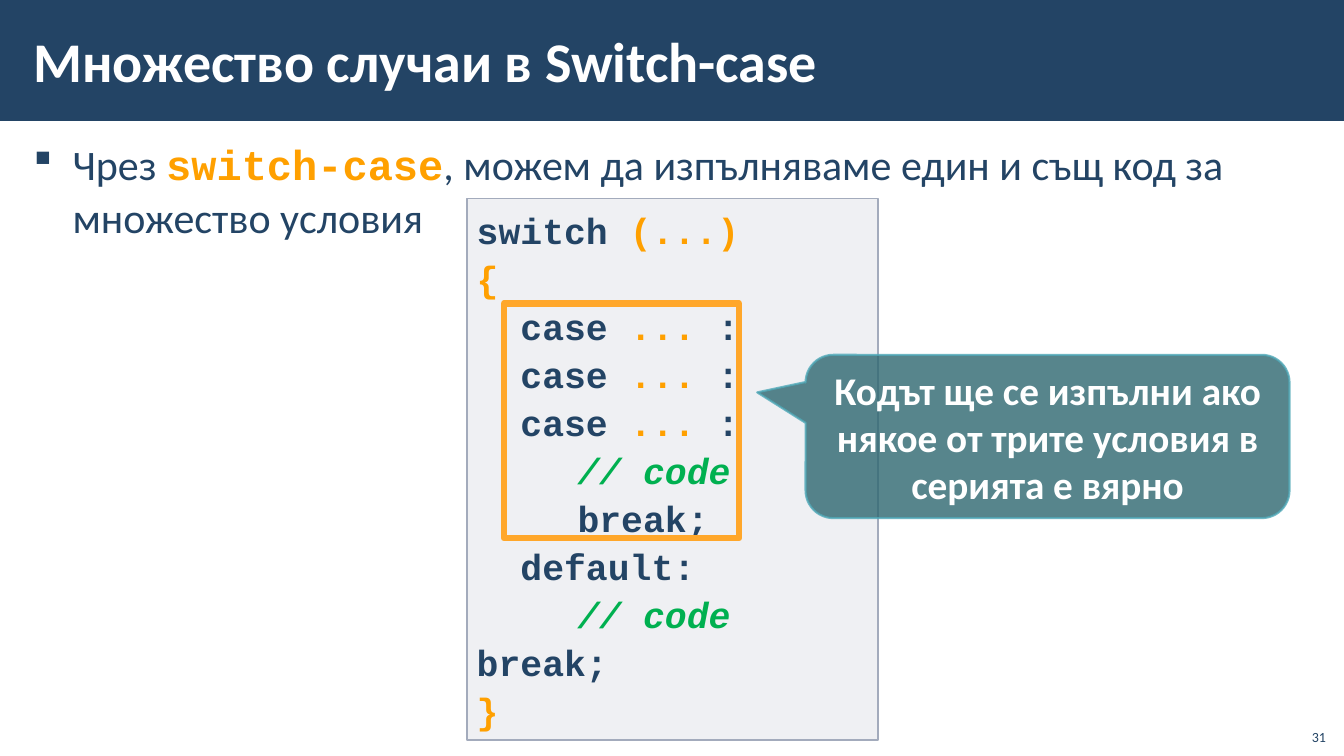
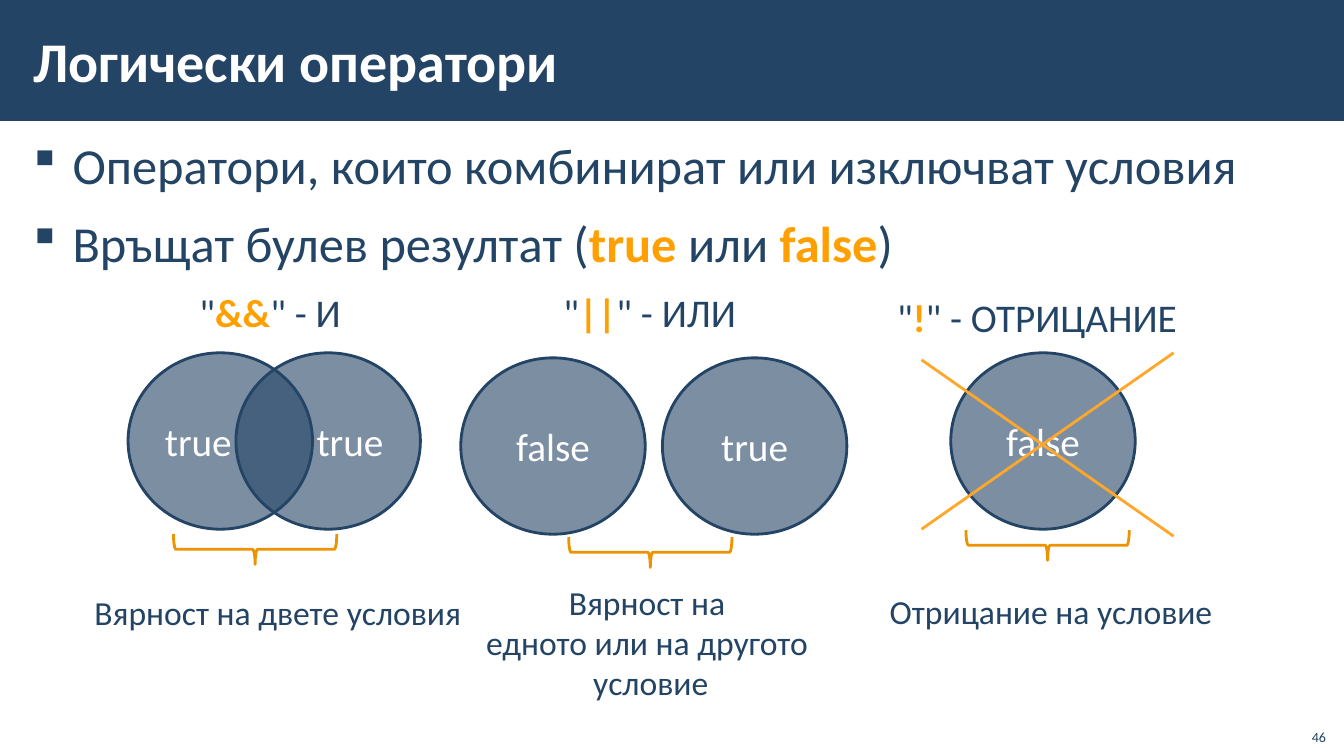
"""Build two lecture slides on switch-case and logical operators."""
from dataclasses import dataclass
from typing import Optional, Sequence

from lxml import etree
from pptx import Presentation
from pptx.dml.color import RGBColor
from pptx.enum import shapes, text
from pptx.oxml.ns import qn
from pptx.util import Emu, Pt

PX = 9144
SHAPE = shapes.MSO_SHAPE
ALIGN = text.PP_ALIGN
ANCHOR = text.MSO_ANCHOR


@dataclass(frozen=True)
class Theme:
    """Colours, fonts and type sizes of the deck."""
    navy: str = "234465"
    white: str = "FFFFFF"
    orange: str = "FFA000"
    frame: str = "FFA72A"
    brace: str = "ED9300"
    green: str = "00B050"
    code_fill: str = "C2C7D2"
    code_line: str = "A3ABBC"
    callout: str = "2E6770"
    callout_line: str = "50A9B8"
    font: str = "Calibri"
    mono: str = "Courier New"
    symbols: str = "Wingdings"
    title: int = 40
    bullet: int = 36
    bullet_small: int = 30
    label: int = 28
    code: int = 26
    caption: int = 24
    number: int = 10


T = Theme()


@dataclass(frozen=True)
class Box:
    """A rectangle in px."""
    x: int
    y: int
    w: int
    h: int


@dataclass(frozen=True)
class Span:
    """A run of text with its look."""
    text: str
    color: str = T.navy
    bold: bool = False
    italic: bool = False
    font: str = T.font


@dataclass(frozen=True)
class Paint:
    """A colour with opacity in percent and a line width in points."""
    color: str
    alpha: int = 100
    width: float = 0


@dataclass(frozen=True)
class Style:
    """Paragraph and frame settings of a text block."""
    size: int
    align: ALIGN = ALIGN.LEFT
    anchor: ANCHOR = ANCHOR.TOP
    spacing: Optional[float] = None
    before: int = 0
    bullet: bool = False
    tab: int = 0
    wrap: bool = True
    inset: tuple[int, int] = (10, 5)


@dataclass(frozen=True)
class Disc:
    """A circle with a truth value."""
    x: int
    y: int
    value: str
    align: ALIGN = ALIGN.CENTER


@dataclass(frozen=True)
class Operator:
    """A logical operator with its drawing."""
    symbol: str
    name: str
    label: Box
    discs: Sequence[Disc]
    brace: Box
    caption: Sequence[str]
    caption_box: Box


Lines = Sequence[Sequence[Span]]


def emu(box: Box) -> tuple[Emu, ...]:
    """Turn a px box into EMU lengths."""
    return tuple(Emu(v * PX) for v in (box.x, box.y, box.w, box.h))


def set_alpha(parent, percent: int) -> None:
    """Set the opacity of the solid fill inside an element."""
    if percent < 100:
        clr = parent.find(qn("a:solidFill")).find(qn("a:srgbClr"))
        etree.SubElement(clr, qn("a:alpha")).set("val", str(percent * 1000))


def add_marks(p, style: Style) -> None:
    """Give a paragraph its bullet and tab stop."""
    ppr = p._p.get_or_add_pPr()
    if style.bullet:
        ppr.set("marL", str(39 * PX))
        ppr.set("indent", str(-39 * PX))
        etree.SubElement(ppr, qn("a:buFont")).set("typeface", T.symbols)
        etree.SubElement(ppr, qn("a:buChar")).set("char", "§")
    if style.tab:
        tabs = etree.SubElement(ppr, qn("a:tabLst"))
        etree.SubElement(tabs, qn("a:tab"), pos=str(style.tab * PX), algn="l")


def write(tf, lines: Lines, style: Style) -> None:
    """Fill a text frame run by run."""
    tf.word_wrap = style.wrap
    tf.auto_size = text.MSO_AUTO_SIZE.NONE
    tf.vertical_anchor = style.anchor
    side, top = (Emu(v * PX) for v in style.inset)
    tf.margin_left = tf.margin_right = side
    tf.margin_top = tf.margin_bottom = top
    for i, spans in enumerate(lines):
        p = tf.add_paragraph() if i else tf.paragraphs[0]
        p.alignment = style.align
        if style.spacing:
            p.line_spacing = style.spacing
        if i and style.before:
            p.space_before = Pt(style.before)
        add_marks(p, style)
        for span in spans:
            r = p.add_run()
            r.text = span.text
            r.font.size = Pt(style.size)
            r.font.name = span.font
            r.font.bold = span.bold
            r.font.italic = span.italic
            r.font.color.rgb = RGBColor.from_string(span.color)


def add_text(s, box: Box, lines: Lines, style: Style) -> None:
    """Add a text box."""
    write(s.shapes.add_textbox(*emu(box)).text_frame, lines, style)


def add_shape(s, kind: SHAPE, box: Box, fill: Optional[Paint] = None,
              line: Optional[Paint] = None):
    """Add a preset shape without a shadow."""
    sp = s.shapes.add_shape(kind, *emu(box))
    sp.shadow.inherit = False
    if fill:
        sp.fill.solid()
        sp.fill.fore_color.rgb = RGBColor.from_string(fill.color)
        set_alpha(sp._element.spPr, fill.alpha)
    else:
        sp.fill.background()
    if line:
        sp.line.width = Pt(line.width)
        sp.line.color.rgb = RGBColor.from_string(line.color)
        set_alpha(sp._element.spPr.find(qn("a:ln")), line.alpha)
    else:
        sp.line.fill.background()
    return sp


def add_line(s, start: tuple[int, int], end: tuple[int, int], paint: Paint) -> None:
    """Add a straight line without a shadow."""
    ends = (Emu(v * PX) for v in (*start, *end))
    c = s.shapes.add_connector(shapes.MSO_CONNECTOR.STRAIGHT, *ends)
    c.line.width = Pt(paint.width)
    c.line.color.rgb = RGBColor.from_string(paint.color)
    etree.SubElement(c._element.spPr, qn("a:effectLst"))


def add_slide(prs, title: str, number: int, body: Box, lines: Lines, style: Style):
    """Add a slide with its band, title, bullets and number."""
    s = prs.slides.add_slide(prs.slide_layouts[6])
    add_shape(s, SHAPE.RECTANGLE, Box(0, 0, 1334, 120), Paint(T.navy))
    add_text(s, body, lines, style)
    add_text(s, Box(21, 11, 1063, 97), [[Span(title, T.white, True)]],
             Style(T.title, anchor=ANCHOR.MIDDLE, inset=(12, 4)))
    add_text(s, Box(1285, 712, 40, 32), [[Span(str(number))]],
             Style(T.number, ALIGN.RIGHT, ANCHOR.BOTTOM))
    return s


def code(value: str, color: str = T.navy, italic: bool = False) -> Span:
    """Return a bold monospaced span."""
    return Span(value, color, True, italic, T.mono)


def switch_slide(prs) -> None:
    """Draw the switch-case slide."""
    bullet = [Span("Чрез "), code("switch-case", T.orange),
              Span(", можем да изпълняваме един и същ код за множество условия")]
    s = add_slide(prs, "Множество случаи в Switch-case", 31, Box(21, 131, 1292, 605),
                  [bullet], Style(T.bullet_small, spacing=1.05, bullet=True, inset=(12, 4)))
    case = [code("  case "), code("... ", T.orange), code(":")]
    comment = [code("\t// code", T.green, True)]
    listing = [
        [code("switch "), code("(...)", T.orange)],
        [code("{", T.orange)],
        *[case] * 3,
        comment,
        [code("\tbreak;")],
        [code("  default:")],
        comment,
        [code("break;")],
        [code("}", T.orange)],
    ]
    sp = add_shape(s, SHAPE.RECTANGLE, Box(463, 197, 408, 537),
                   Paint(T.code_fill, 25), Paint(T.code_line, width=1))
    write(sp.text_frame, listing, Style(T.code, spacing=1.1, tab=100))
    add_shape(s, SHAPE.RECTANGLE, Box(500, 301, 233, 233), line=Paint(T.frame, width=4.5))
    sp = add_shape(s, SHAPE.ROUNDED_RECTANGULAR_CALLOUT, Box(799, 352, 480, 162),
                   Paint(T.callout, 80), Paint(T.callout_line, 80, 1.5))
    for i, value in enumerate((-0.6, -0.27, 0.17)):
        sp.adjustments[i] = value
    note = "Кодът ще се изпълни ако някое от трите условия в серията е вярно"
    write(sp.text_frame, [[Span(note, T.white, True)]],
          Style(T.label, ALIGN.CENTER, ANCHOR.MIDDLE))


OPERATORS = [
    Operator("&&", "И", Box(188, 281, 162, 57),
             [Disc(127, 350, "true", ALIGN.LEFT), Disc(234, 350, "true", ALIGN.RIGHT)],
             Box(238, 464, 30, 162),
             ["Вярност на двете условия"], Box(82, 582, 387, 50)),
    Operator("||", "ИЛИ", Box(549, 281, 192, 57),
             [Disc(457, 355, "false"), Disc(657, 355, "true")],
             Box(630, 467, 30, 162),
             ["Вярност на ", "едното или на другото ", "условие"], Box(471, 572, 349, 131)),
    Operator("!", "ОТРИЦАНИЕ", Box(880, 286, 310, 57),
             [Disc(943, 350, "false")],
             Box(1024, 460, 30, 162),
             ["Отрицание на условие"], Box(871, 581, 343, 50)),
]


def draw_operator(s, op: Operator) -> None:
    """Draw an operator label, its circles, brace and caption."""
    for disc in op.discs:
        sp = add_shape(s, SHAPE.OVAL, Box(disc.x, disc.y, 183, 175),
                       Paint(T.navy, 60), Paint(T.navy, width=2))
        write(sp.text_frame, [[Span(disc.value, T.white)]],
              Style(T.label, disc.align, ANCHOR.MIDDLE))
    label = [Span('"'), Span(op.symbol, T.orange, True), Span(f'" - {op.name}')]
    add_text(s, op.label, [label], Style(T.label, wrap=False))
    sp = add_shape(s, SHAPE.RIGHT_BRACE, op.brace, line=Paint(T.brace, width=2))
    sp.rotation = 90
    add_text(s, op.caption_box, [[Span(row)] for row in op.caption],
             Style(T.caption, ALIGN.CENTER, wrap=False))


def operators_slide(prs) -> None:
    """Draw the logical operators slide."""
    bullets = [
        [Span("Оператори, които комбинират или изключват условия")],
        [Span("Връщат булев резултат ("), Span("true", T.orange, True), Span(" или "),
         Span("false", T.orange, True), Span(")")],
    ]
    s = add_slide(prs, "Логически оператори", 46, Box(21, 120, 1291, 609), bullets,
                  Style(T.bullet, spacing=1.15, before=6, bullet=True, inset=(12, 4)))
    for op in OPERATORS:
        draw_operator(s, op)
    for start, end in (((1164, 350), (914, 525)), ((1164, 532), (914, 357))):
        add_line(s, start, end, Paint(T.frame, width=2))


def main() -> None:
    """Build and save the deck."""
    prs = Presentation()
    prs.slide_width, prs.slide_height = Emu(1333 * PX), Emu(750 * PX)
    switch_slide(prs)
    operators_slide(prs)
    prs.save("out.pptx")


if __name__ == "__main__":
    main()
